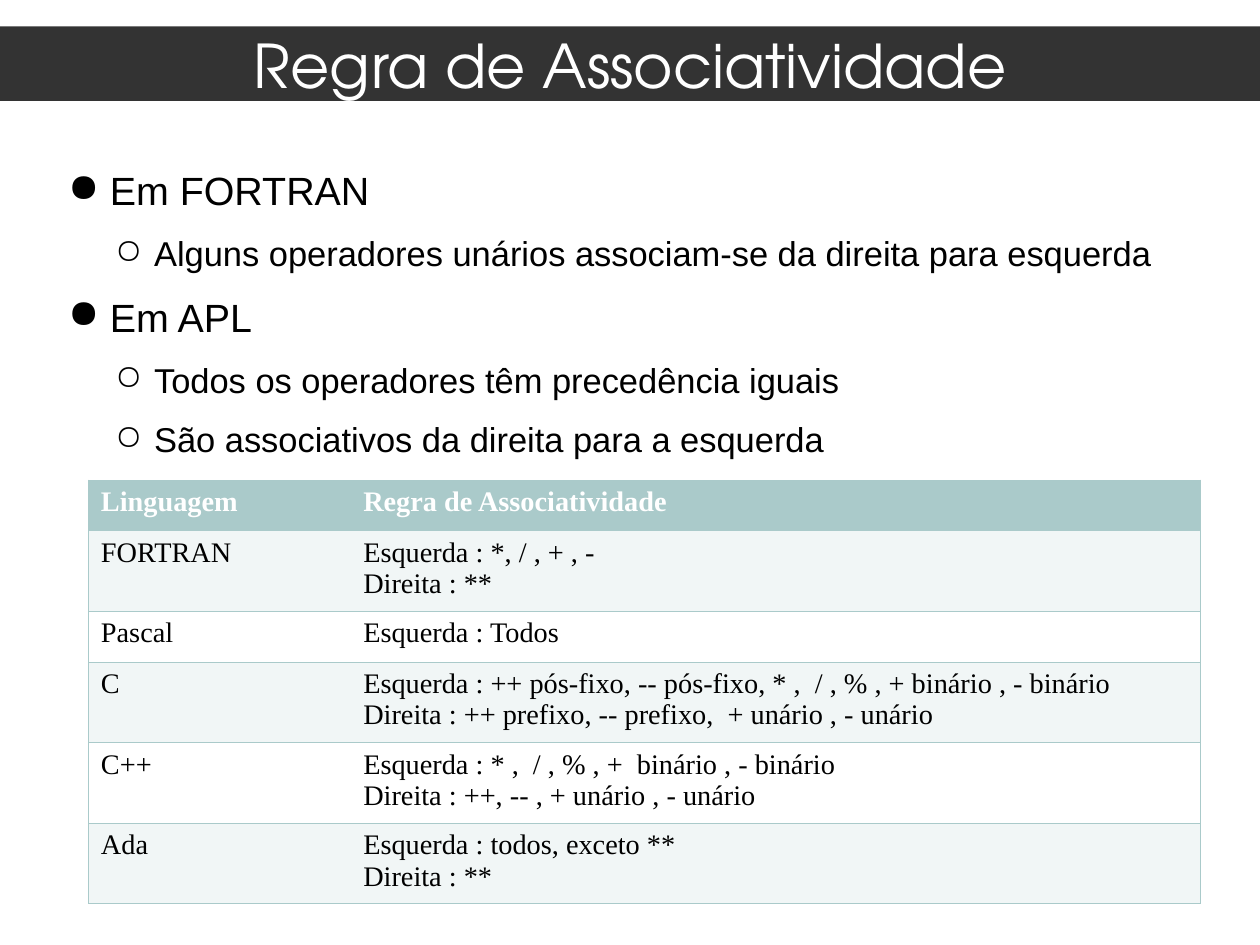
from lxml import etree
from pptx import Presentation
from pptx.dml.color import RGBColor
from pptx.enum.shapes import MSO_SHAPE
from pptx.enum.text import MSO_ANCHOR, PP_ALIGN
from pptx.oxml.ns import qn
from pptx.util import Inches, Pt

RECTANGLE = MSO_SHAPE.RECTANGLE
MIDDLE = MSO_ANCHOR.MIDDLE
CENTER, JUSTIFY = PP_ALIGN.CENTER, PP_ALIGN.JUSTIFY

COLORS = {
    "bar": "333333",
    "header": "AACACA",
    "band": "F1F6F6",
    "white": "FFFFFF",
    "black": "000000",
}

# level: (bullet, left margin, hanging indent, text size)
BULLETS = {0: ("●", 0.5, 0.47, 32), 1: ("○", 1, 0.44, 28)}

POINTS = [
    (0, "Em FORTRAN"),
    (1, "Alguns operadores unários associam-se da direita para esquerda"),
    (0, "Em APL"),
    (1, "Todos os operadores têm precedência iguais"),
    (1, "São associativos da direita para a esquerda"),
]

RULES = [
    ("Linguagem", ["Regra de Associatividade"]),
    ("FORTRAN", ["Esquerda : *, / , + , -", "Direita : **"]),
    ("Pascal", ["Esquerda : Todos"]),
    ("C", ["Esquerda : ++ pós-fixo, -- pós-fixo, * ,  / , % , + binário , - binário",
           "Direita : ++ prefixo, -- prefixo,  + unário , - unário"]),
    ("C++", ["Esquerda : * ,  / , % , +  binário , - binário",
             "Direita : ++, -- , + unário , - unário"]),
    ("Ada", ["Esquerda : todos, exceto **", "Direita : **"]),
]


class SlideBuilder:
    """Places elements on a grid of 100 columns by 100 rows."""

    title_font, body_font, table_font = "TeX Gyre Adventor", "Arial", "Times New Roman"

    def __init__(self, presentation):
        self.column = presentation.slide_width / 100
        self.row = presentation.slide_height / 100
        self.slide = presentation.slides.add_slide(presentation.slide_layouts[6])

    def place(self, left, top, width, height):
        return (int(left * self.column), int(top * self.row),
                int(width * self.column), int(height * self.row))

    def color(self, name):
        return RGBColor.from_string(COLORS[name])

    def run(self, paragraph, text, font, size, color, bold=False):
        run = paragraph.add_run()
        run.text = text
        run.font.name = font
        run.font.size = Pt(size)
        run.font.bold = bold
        run.font.color.rgb = self.color(color)

    def insets(self, frame, top):
        frame.word_wrap = True
        frame.margin_left = frame.margin_right = frame.margin_bottom = 0
        frame.margin_top = Inches(top)

    def title_bar(self, text, *area):
        shape = self.slide.shapes.add_shape(RECTANGLE, *self.place(*area))
        shape.shadow.inherit = False
        shape.fill.solid()
        shape.fill.fore_color.rgb = self.color("bar")
        shape.line.fill.background()
        frame = shape.text_frame
        self.insets(frame, 0.01)
        frame.vertical_anchor = MIDDLE
        paragraph = frame.paragraphs[0]
        paragraph.alignment = CENTER
        self.run(paragraph, text, self.title_font, 49, "white")

    def bullet_list(self, points, *area):
        frame = self.slide.shapes.add_textbox(*self.place(*area)).text_frame
        self.insets(frame, 0.13)
        for index, (level, text) in enumerate(points):
            paragraph = frame.add_paragraph() if index else frame.paragraphs[0]
            bullet, margin, hanging, size = BULLETS[level]
            paragraph.level = level
            paragraph.alignment = JUSTIFY
            paragraph.line_spacing = 1.15
            if index:
                paragraph.space_before = Pt(10)
            properties = paragraph._p.get_or_add_pPr()
            properties.set("marL", str(Inches(margin)))
            properties.set("indent", str(-Inches(hanging)))
            bullet_color = etree.SubElement(properties, qn("a:buClr"))
            etree.SubElement(bullet_color, qn("a:srgbClr"), val=COLORS["black"])
            etree.SubElement(properties, qn("a:buChar"), char=bullet)
            self.run(paragraph, text, self.body_font, size, "black")

    def border(self, cell, side, visible):
        line = etree.SubElement(cell._tc.get_or_add_tcPr(), qn("a:ln" + side),
                                w=str(Pt(0.75)))
        if visible:
            fill = etree.SubElement(line, qn("a:solidFill"))
            etree.SubElement(fill, qn("a:srgbClr"), val=COLORS["header"])
        else:
            etree.SubElement(line, qn("a:noFill"))

    def cell(self, cell, lines, fill, color, bold, is_first_column):
        cell.margin_left = cell.margin_right = Inches(0.14)
        cell.margin_top = cell.margin_bottom = Inches(0.07)
        for side, visible in (("L", is_first_column), ("R", not is_first_column),
                              ("T", True), ("B", True)):
            self.border(cell, side, visible)
        cell.fill.solid()
        cell.fill.fore_color.rgb = self.color(fill)
        frame = cell.text_frame
        for index, text in enumerate(lines):
            paragraph = frame.add_paragraph() if index else frame.paragraphs[0]
            self.run(paragraph, text, self.table_font, 23, color, bold)

    def rule_table(self, rules, left, top, widths, line_heights):
        heights = [line_heights[len(lines) - 1] for _, lines in rules]
        area = self.place(left, top, sum(widths), sum(heights))
        table = self.slide.shapes.add_table(len(rules), len(widths), *area).table
        table.first_row = table.horz_banding = False
        for column, width in zip(table.columns, widths):
            column.width = int(width * self.column)
        for index, (language, lines) in enumerate(rules):
            table.rows[index].height = int(heights[index] * self.row)
            is_header = index == 0
            fill = "header" if is_header else "band" if index % 2 else "white"
            color = "white" if is_header else "black"
            for number, texts in enumerate(([language], lines)):
                self.cell(table.cell(index, number), texts, fill, color,
                          is_header, number == 0)


def main():
    presentation = Presentation()
    presentation.slide_width = Inches(14.22)
    presentation.slide_height = Inches(10.67)
    builder = SlideBuilder(presentation)
    builder.bullet_list(POINTS, 5.2, 15.65, 88.75, 40.3)
    builder.title_bar("Regra de Associatividade", 0, 2.8, 100, 7.87)
    builder.rule_table(RULES, 7.03, 50.8, (20.82, 67.44), (5.37, 8.53))
    presentation.save("out.pptx")


if __name__ == "__main__":
    main()
